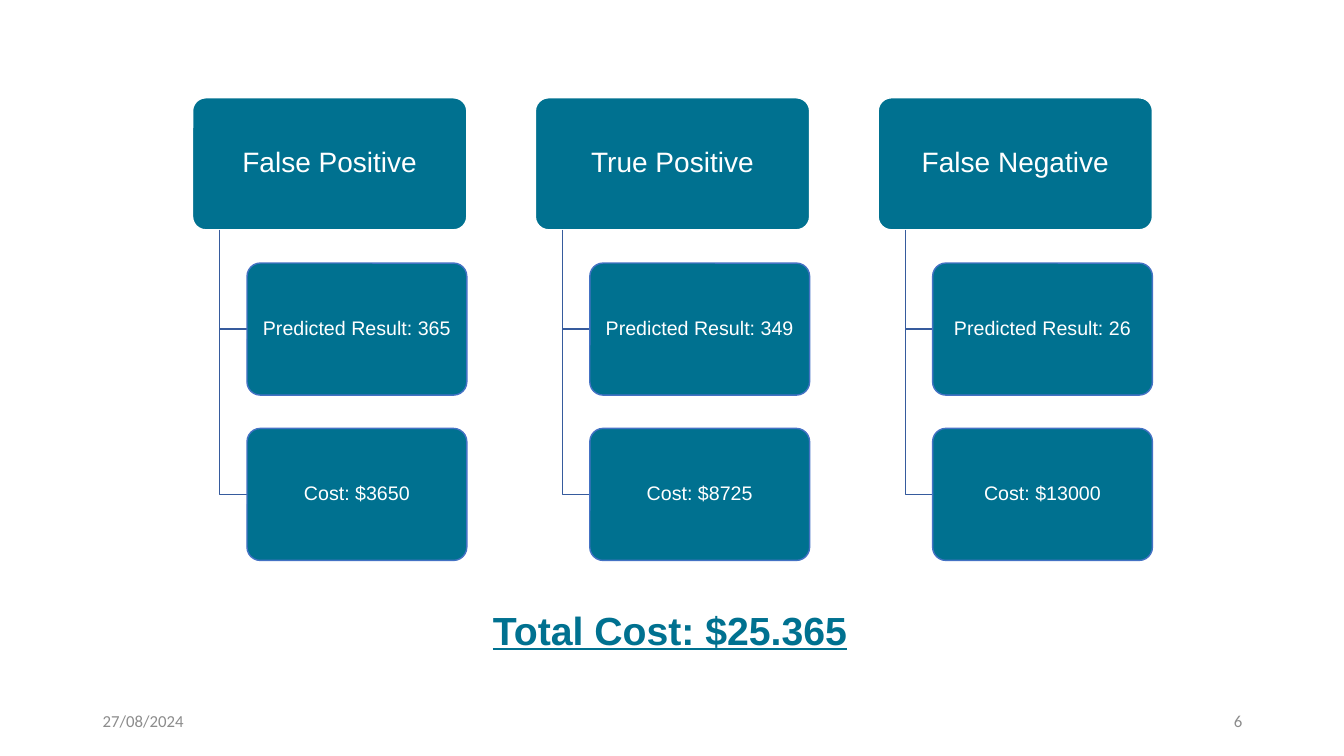
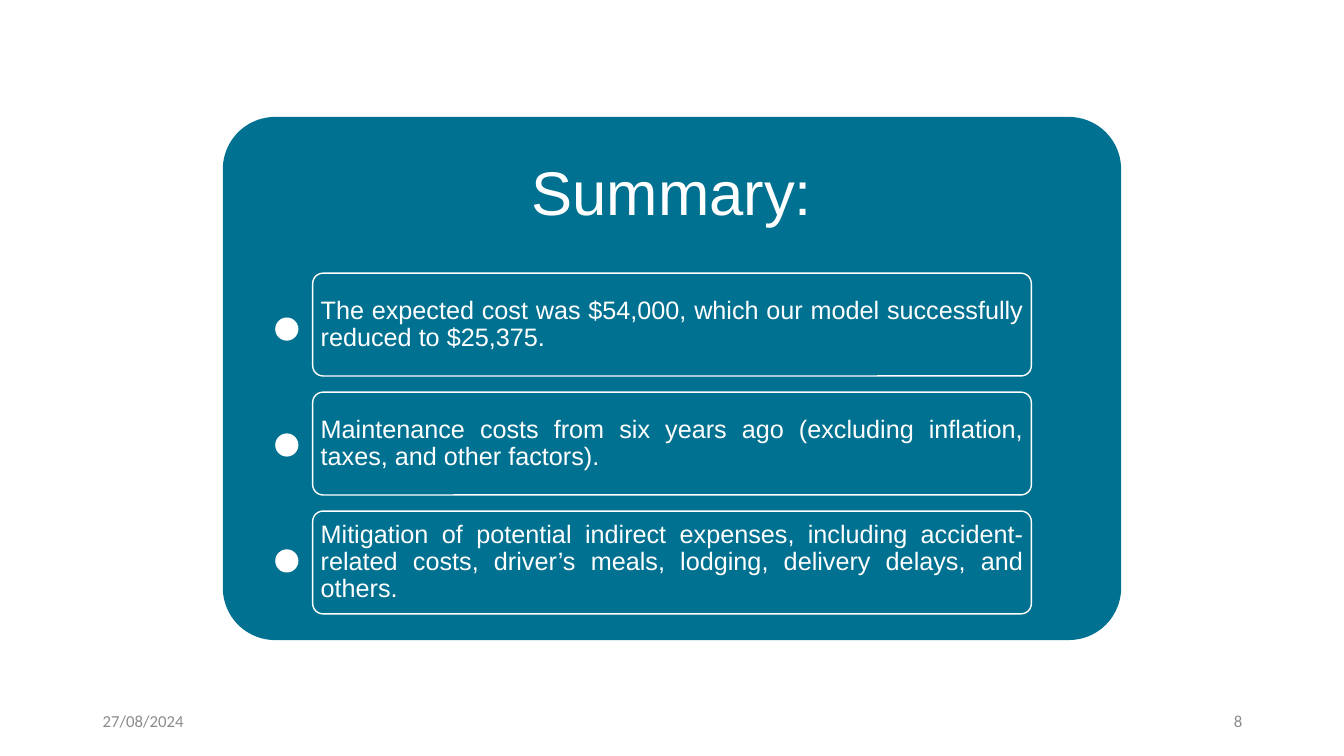
from pptx import Presentation
from pptx.dml.color import RGBColor
from pptx.enum.shapes import MSO_SHAPE as Shape
from pptx.enum.text import MSO_ANCHOR as Anchor, MSO_AUTO_SIZE as Fit, PP_ALIGN as Align
from pptx.util import Inches, Pt

# Shared style
TEAL = RGBColor(0x00, 0x71, 0x90)
BLUE = RGBColor(0x44, 0x72, 0xC4)
NAVY = RGBColor(0x36, 0x5B, 0x9D)
GRAY = RGBColor(0x8C, 0x8C, 0x8C)
WHITE = RGBColor(0xFF, 0xFF, 0xFF)
FONT, FOOT_FONT = "Arial", "Calibri"
DATE = "27/08/2024"
TITLE_ONLY, BLANK = 5, 6

COSTS = [
    ("False Positive", ["Predicted Result: 365", "Cost: $3650"]),
    ("True Positive", ["Predicted Result: 349", "Cost: $8725"]),
    ("False Negative", ["Predicted Result: 26", "Cost: $13000"]),
]
POINTS = [
    "The expected cost was $54,000, which our model successfully reduced to $25,375.",
    "Maintenance costs from six years ago (excluding inflation, taxes, and other factors).",
    "Mitigation of potential indirect expenses, including accident-related costs, "
    "driver’s meals, lodging, delivery delays, and others.",
]


def box(x, y, w, h):
    return Inches(x), Inches(y), Inches(w), Inches(h)


def write(shape, text, size, color, align=Align.LEFT, font=FONT, pad=(0.1, 0.05),
          space=1.0, wrap=True):
    """Set one line of text in a shape and return its run font."""
    frame = shape.text_frame
    frame.text = text
    frame.word_wrap = wrap
    frame.auto_size = Fit.NONE
    frame.vertical_anchor = Anchor.MIDDLE
    frame.margin_left = frame.margin_right = Inches(pad[0])
    frame.margin_top = frame.margin_bottom = Inches(pad[1])
    para = frame.paragraphs[0]
    para.alignment = align
    para.line_spacing = space
    face = para.runs[0].font
    face.name, face.size, face.color.rgb = font, Pt(size), color
    return face


def solid(slide, kind, area, fill, edge=None):
    shape = slide.shapes.add_shape(kind, *box(*area))
    shape.shadow.inherit = False
    shape.fill.solid()
    shape.fill.fore_color.rgb = fill
    if edge is None:
        shape.line.fill.background()
    else:
        shape.line.color.rgb = edge
        shape.line.width = Pt(1)
    return shape


def card(slide, area, edge=None):
    shape = solid(slide, Shape.ROUNDED_RECTANGLE, area, TEAL, edge)
    shape.adjustments[0] = 0.1
    return shape


def elbow(slide, x1, y1, x2, y2):
    """Draw an open outline that runs down and then right."""
    pen = slide.shapes.build_freeform(Inches(x1), Inches(y1))
    pen.add_line_segments([(Inches(x1), Inches(y2)), (Inches(x2), Inches(y2))], close=False)
    line = pen.convert_to_shape()
    line.shadow.inherit = False
    line.fill.background()
    line.line.color.rgb = NAVY
    line.line.width = Pt(1)


def footer(slide, number):
    for x, text, align in ((0.92, DATE, Align.LEFT), (9.42, number, Align.RIGHT)):
        note = slide.shapes.add_textbox(*box(x, 6.95, 3, 0.4))
        write(note, text, 12, GRAY, align, FOOT_FONT)


def branch(slide, x, y, w, head, items):
    """Draw a head card with its items hanging below it."""
    high, gap, inset = 1.31, 0.33, 0.54
    write(card(slide, (x, y, w, high), WHITE), head, 20, WHITE,
          Align.CENTER, pad=(0.08, 0.06), space=0.9)

    # Items, each with its elbow
    for i, item in enumerate(items, 1):
        top = y + i * (high + gap)
        elbow(slide, x + inset / 2, y + high, x + inset, top + high / 2)
        leaf = card(slide, (x + inset, top, w - inset, high), BLUE)
        write(leaf, item, 14, WHITE, Align.CENTER, pad=(0.06, 0.05), space=0.9)


def cost_slide(deck):
    slide = deck.slides.add_slide(deck.slide_layouts[BLANK])
    footer(slide, "6")
    for i, (head, items) in enumerate(COSTS):
        branch(slide, 1.91 + 3.4 * i, 0.97, 2.72, head, items)

    # Total
    total = slide.shapes.add_textbox(*box(4.79, 5.96, 3.76, 0.57))
    face = write(total, "Total Cost: $25.365", 28, TEAL, wrap=False)
    face.bold = face.underline = True


def panel(slide, x, y, w, h, title, points):
    """Draw a titled panel with one framed row for each point."""
    back = card(slide, (x, y, w, h))
    head = slide.shapes.title
    head.left, head.top, head.width, head.height = box(x, y, w, h * 0.3)
    write(head, title, 44, WHITE, Align.CENTER, pad=(0.18, 0.18), space=0.9)
    head._element.addprevious(back._element)  # panel behind its title

    # Rows and dots
    side, high, gap = w * 0.1, 1.02, 0.16
    for i, point in enumerate(points):
        row = card(slide, (x + side, y + 1.55 + (high + gap) * i, w - 2 * side, high), WHITE)
        write(row, point, 18, WHITE, Align.JUSTIFY, pad=(0.05, 0.04), space=0.9)
        solid(slide, Shape.OVAL, (x + 0.52, y + 1.99 + 1.15 * i, 0.23, 0.23), WHITE)


def summary_slide(deck):
    slide = deck.slides.add_slide(deck.slide_layouts[TITLE_ONLY])
    footer(slide, "8")
    panel(slide, 2.21, 1.16, 8.91, 5.19, "Summary:", POINTS)


def main():
    deck = Presentation()
    deck.slide_width, deck.slide_height = Inches(13.33), Inches(7.5)
    cost_slide(deck)
    summary_slide(deck)
    deck.save("out.pptx")


if __name__ == "__main__":
    main()
